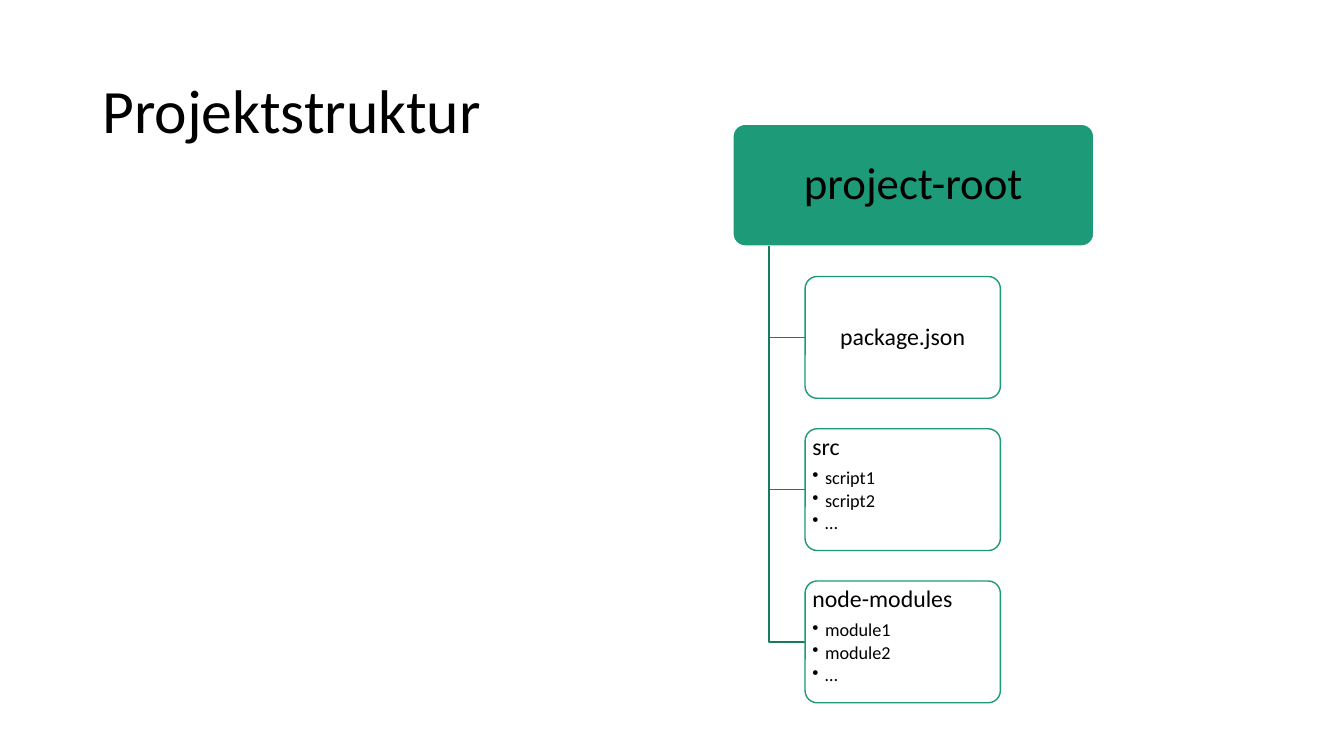
from dataclasses import dataclass

import pptx
import pptx.dml.color
import pptx.enum.shapes
import pptx.enum.text
import pptx.oxml
import pptx.oxml.ns
import pptx.util
from lxml import etree

Pt = pptx.util.Pt
ANCHOR = pptx.enum.text.MSO_ANCHOR
ALIGN = pptx.enum.text.PP_ALIGN
qn = pptx.oxml.ns.qn


@dataclass(frozen=True)
class Theme:
    font: str = "Calibri"
    text: str = "000000"
    paper: str = "FFFFFF"
    accent: str = "1D9A78"
    connector: str = "177B60"
    title_size: float = 44
    root_size: float = 32
    entry_size: float = 17
    file_size: float = 13


THEME = Theme()
ENTRIES = [
    ("package.json", []),
    ("src", ["script1", "script2", "…"]),
    ("node-modules", ["module1", "module2", "…"]),
]


def rgb(value):
    return pptx.dml.color.RGBColor.from_string(value)


def add_bullet(paragraph, indent):
    properties = paragraph._p.get_or_add_pPr()
    properties.set("lvl", "1")
    properties.set("marL", str(Pt(indent)))
    properties.set("indent", str(-Pt(indent)))
    etree.SubElement(properties, qn("a:buChar")).set("char", "•")


def write_text(frame, lines, size, align=ALIGN.LEFT, anchor=ANCHOR.MIDDLE,
               insets=(7.2, 3.6), space_after=0, bullet_size=THEME.file_size):
    """Write the first line as a heading and any further lines as bullets."""
    frame.word_wrap = True
    frame.vertical_anchor = anchor
    frame.margin_left = frame.margin_right = Pt(insets[0])
    frame.margin_top = frame.margin_bottom = Pt(insets[1])
    for number, line in enumerate(lines):
        paragraph = frame.add_paragraph() if number else frame.paragraphs[0]
        if number:
            add_bullet(paragraph, indent=9)
        paragraph.text = line
        paragraph.alignment = align
        paragraph.line_spacing = 0.9
        paragraph.space_after = Pt(2 if number else space_after)
        paragraph.font.name = THEME.font
        paragraph.font.size = Pt(bullet_size if number else size)
        paragraph.font.color.rgb = rgb(THEME.text)


def add_title(slide, left, top, width, height):
    box = slide.shapes.add_textbox(Pt(left), Pt(top), Pt(width), Pt(height))
    write_text(box.text_frame, ["Projektstruktur"], THEME.title_size)


def add_card(slide, left, top, width, height, fill, line):
    card = slide.shapes.add_shape(
        pptx.enum.shapes.MSO_SHAPE.ROUNDED_RECTANGLE,
        Pt(left), Pt(top), Pt(width), Pt(height))
    card.adjustments[0] = 0.1
    card.shadow.inherit = False
    card.fill.solid()
    card.fill.fore_color.rgb = rgb(fill)
    card.line.color.rgb = rgb(line)
    card.line.width = Pt(1)
    return card


def add_branch(slide, trunk, top, right, bottom):
    """Draw the line that goes down the trunk and turns right to an entry."""
    builder = slide.shapes.build_freeform(Pt(trunk), Pt(top))
    builder.add_line_segments(
        [(Pt(trunk), Pt(bottom)), (Pt(right), Pt(bottom))], close=False)
    branch = builder.convert_to_shape()
    branch.shadow.inherit = False
    branch.fill.background()
    branch.line.color.rgb = rgb(THEME.connector)
    branch.line.width = Pt(1)


def add_entry(slide, left, top, width, height, name, files):
    card = add_card(slide, left, top, width, height, THEME.paper, THEME.accent)
    color = card.fill._xPr.find(qn("a:solidFill"))[0]
    etree.SubElement(color, qn("a:alpha")).set("val", "90000")
    write_text(card.text_frame, [name, *files], THEME.entry_size,
               align=ALIGN.LEFT if files else ALIGN.CENTER,
               anchor=ANCHOR.TOP if files else ANCHOR.MIDDLE,
               insets=(2.7, 1.8), space_after=6)


def add_tree(slide, left, top, width, height):
    """Stack the root and its entries; each gap is a quarter of a card."""
    card_height = height / (1 + 1.25 * len(ENTRIES))
    root = add_card(slide, left, top, width, card_height,
                    THEME.accent, THEME.paper)
    write_text(root.text_frame, ["project-root"], THEME.root_size,
               align=ALIGN.CENTER, insets=(4.8, 3.2), space_after=11)
    trunk = left + 0.1 * width
    entry_left = left + 0.2 * width
    for number, (name, files) in enumerate(ENTRIES, start=1):
        entry_top = top + 1.25 * card_height * number
        add_branch(slide, trunk, top + card_height, entry_left,
                   entry_top + card_height / 2)
        add_entry(slide, entry_left, entry_top, 139.5, card_height, name, files)


def main():
    presentation = pptx.Presentation()
    presentation.slide_width = Pt(960)
    presentation.slide_height = Pt(540)
    slide = presentation.slides.add_slide(presentation.slide_layouts[6])
    add_title(slide, 66, 28.75, 828, 104.4)
    add_tree(slide, 523.5, 88.75, 257.8, 413.25)
    presentation.save("out.pptx")


if __name__ == "__main__":
    main()
